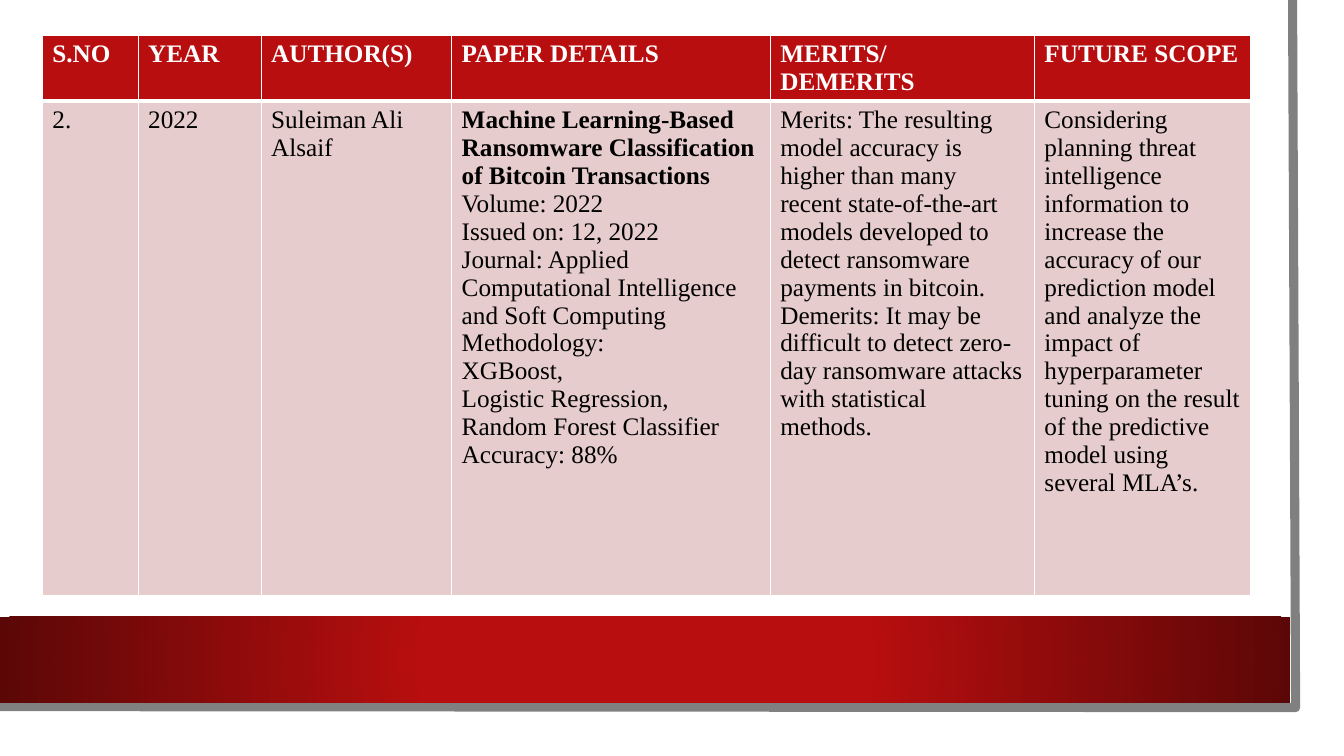
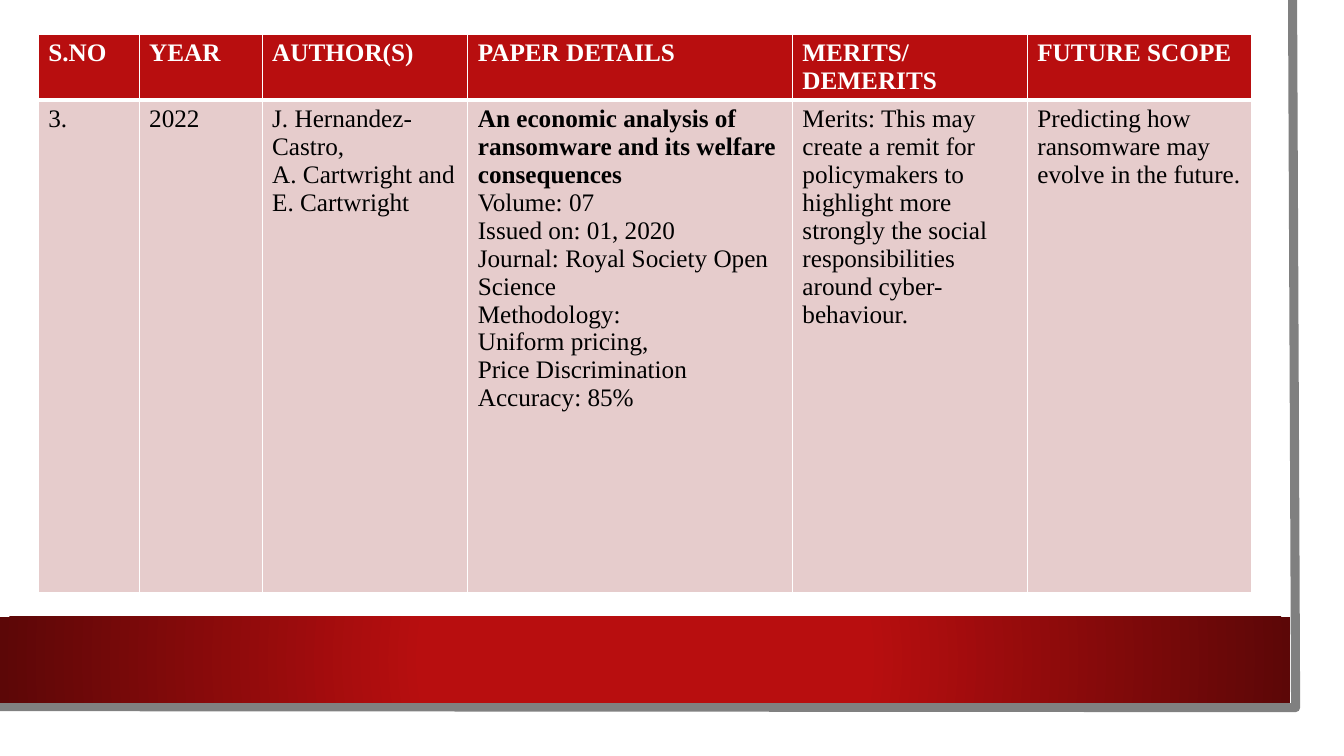
from dataclasses import dataclass

from pptx import Presentation
from pptx.dml.color import RGBColor
from pptx.enum.shapes import MSO_SHAPE
from pptx.oxml import parse_xml
from pptx.oxml.ns import nsdecls, qn
from pptx.shapes.autoshape import Shape
from pptx.slide import Slide
from pptx.table import _Cell
from pptx.util import Inches, Length, Pt


@dataclass(frozen=True)
class Theme:
    white: str = "FFFFFF"
    black: str = "000000"
    red: str = "B80E0F"
    dark_red: str = "5C0707"
    pink: str = "E6CCCC"
    grey: str = "808080"
    font: str = "Times New Roman"
    text_size: Length = Pt(18)
    edge_width: Length = Pt(6.5)
    thin_rule: Length = Pt(1)
    header_rule: Length = Pt(3)


@dataclass(frozen=True)
class Paper:
    number: str
    year: str
    authors: str
    title: str
    details: str
    merits: str
    future_scope: str


@dataclass(frozen=True)
class Layout:
    left: float
    top: float
    column_widths: tuple[float, ...]
    row_heights: tuple[float, float]


THEME = Theme()
HEADINGS = ("S.NO", "YEAR", "AUTHOR(S)", "PAPER DETAILS", "MERITS/\nDEMERITS", "FUTURE SCOPE")

SURVEY = (
    (
        Paper(
            number="2.",
            year="2022",
            authors="Suleiman Ali Alsaif",
            title="Machine Learning-Based Ransomware Classification of Bitcoin Transactions",
            details="Volume: 2022\n"
            "Issued on: 12, 2022\n"
            "Journal: Applied Computational Intelligence and Soft Computing\n"
            "Methodology:\n"
            "XGBoost,\n"
            "Logistic Regression, Random Forest Classifier\n"
            "Accuracy: 88%",
            merits="Merits: The resulting model accuracy is higher than many recent "
            "state-of-the-art models developed to detect ransomware payments in bitcoin.\n"
            "Demerits: It may be difficult to detect zero-day ransomware attacks "
            "with statistical methods.",
            future_scope="Considering planning threat intelligence information to increase "
            "the accuracy of our prediction model and analyze the impact of hyperparameter "
            "tuning on the result of the predictive model using several MLA’s.",
        ),
        Layout(0.42, 0.35, (0.95, 1.22, 1.89, 3.16, 2.62, 2.14), (0.59, 4.9)),
    ),
    (
        Paper(
            number="3.",
            year="2022",
            authors="J. Hernandez-Castro,\nA. Cartwright and E. Cartwright",
            title="An economic analysis of ransomware and its welfare consequences",
            details="Volume: 07\n"
            "Issued on: 01, 2020\n"
            "Journal: Royal Society Open Science\n"
            "Methodology:\n"
            "Uniform pricing,\n"
            "Price Discrimination\n"
            "Accuracy: 85%",
            merits="Merits: This may create a remit for policymakers to highlight more "
            "strongly the social responsibilities around cyber-behaviour.",
            future_scope="Predicting how ransomware may evolve in the future.",
        ),
        Layout(0.38, 0.34, (1, 1.22, 2.04, 3.22, 2.33, 2.22), (0.61, 4.89)),
    ),
)


def rgb(value: str) -> RGBColor:
    return RGBColor.from_string(value)


def add_plain_rectangle(slide: Slide, top: float, width: float, height: float) -> Shape:
    """Add a rectangle at the left edge, without shadow, line or fill."""
    rectangle = slide.shapes.add_shape(
        MSO_SHAPE.RECTANGLE, 0, Inches(top), Inches(width), Inches(height)
    )
    rectangle.shadow.inherit = False
    rectangle.line.fill.background()
    rectangle.fill.background()
    return rectangle


def fill_from_centre(shape: Shape, inner: str, outer: str) -> None:
    """Replace the empty fill with a gradient running outwards from the centre."""
    gradient = parse_xml(
        f'<a:gradFill {nsdecls("a")} rotWithShape="1"><a:gsLst>'
        f'<a:gs pos="34000"><a:srgbClr val="{inner}"/></a:gs>'
        f'<a:gs pos="100000"><a:srgbClr val="{outer}"/></a:gs></a:gsLst>'
        '<a:path path="circle"><a:fillToRect l="50000" t="50000" r="50000" b="50000"/>'
        "</a:path></a:gradFill>"
    )
    properties = shape._element.spPr
    properties.replace(properties.find(qn("a:noFill")), gradient)


def add_backdrop(slide: Slide) -> None:
    """Draw the white page, its grey edge and the red band."""
    page = add_plain_rectangle(slide, 0, 13.1, 7.27)
    page.fill.solid()
    page.fill.fore_color.rgb = rgb(THEME.white)

    outline = slide.shapes.build_freeform(Inches(12.82), 0)
    outline.add_line_segments(
        [(Inches(12.85), Inches(7.02)), (Inches(-0.03), Inches(7.01))], close=False
    )
    page_edge = outline.convert_to_shape()
    page_edge.shadow.inherit = False
    page_edge.fill.background()
    page_edge.line.color.rgb = rgb(THEME.grey)
    page_edge.line.width = THEME.edge_width

    band = add_plain_rectangle(slide, 6.12, 12.8, 0.85)
    fill_from_centre(band, THEME.red, THEME.dark_red)


def set_borders(cell: _Cell, top: Length, bottom: Length) -> None:
    widths = {"L": THEME.thin_rule, "R": THEME.thin_rule, "T": top, "B": bottom}
    properties = cell._tc.get_or_add_tcPr()
    for position, (side, width) in enumerate(widths.items()):
        border = parse_xml(
            f'<a:ln{side} {nsdecls("a")} w="{int(width)}"><a:solidFill>'
            f'<a:srgbClr val="{THEME.white}"/></a:solidFill></a:ln{side}>'
        )
        properties.insert(position, border)


def write_cell(cell: _Cell, text: str, color: str, fill: str, bold: bool) -> None:
    cell.fill.solid()
    cell.fill.fore_color.rgb = rgb(fill)
    cell.text_frame.text = text
    for paragraph in cell.text_frame.paragraphs:
        paragraph.font.name = THEME.font
        paragraph.font.size = THEME.text_size
        paragraph.font.color.rgb = rgb(color)
        paragraph.font.bold = bold


def add_paper_table(slide: Slide, paper: Paper, layout: Layout) -> None:
    table = slide.shapes.add_table(
        2,
        len(HEADINGS),
        Inches(layout.left),
        Inches(layout.top),
        Inches(sum(layout.column_widths)),
        Inches(sum(layout.row_heights)),
    ).table
    table.horz_banding = False
    for row, height in zip(table.rows, layout.row_heights):
        row.height = Inches(height)

    entries = (
        paper.number,
        paper.year,
        paper.authors,
        f"{paper.title}\n{paper.details}",
        paper.merits,
        paper.future_scope,
    )
    for index, (width, heading, entry) in enumerate(
        zip(layout.column_widths, HEADINGS, entries)
    ):
        table.columns[index].width = Inches(width)
        header, body = table.cell(0, index), table.cell(1, index)
        write_cell(header, heading, THEME.white, THEME.red, bold=True)
        write_cell(body, entry, THEME.black, THEME.pink, bold=False)
        set_borders(header, THEME.thin_rule, THEME.header_rule)
        set_borders(body, THEME.header_rule, THEME.thin_rule)

    details = table.cell(1, HEADINGS.index("PAPER DETAILS"))
    details.text_frame.paragraphs[0].font.bold = True


def main() -> None:
    presentation = Presentation()
    presentation.slide_width = Inches(13.33)
    presentation.slide_height = Inches(7.5)
    blank = presentation.slide_layouts[6]
    for paper, layout in SURVEY:
        slide = presentation.slides.add_slide(blank)
        add_backdrop(slide)
        add_paper_table(slide, paper, layout)
    presentation.save("out.pptx")


if __name__ == "__main__":
    main()
